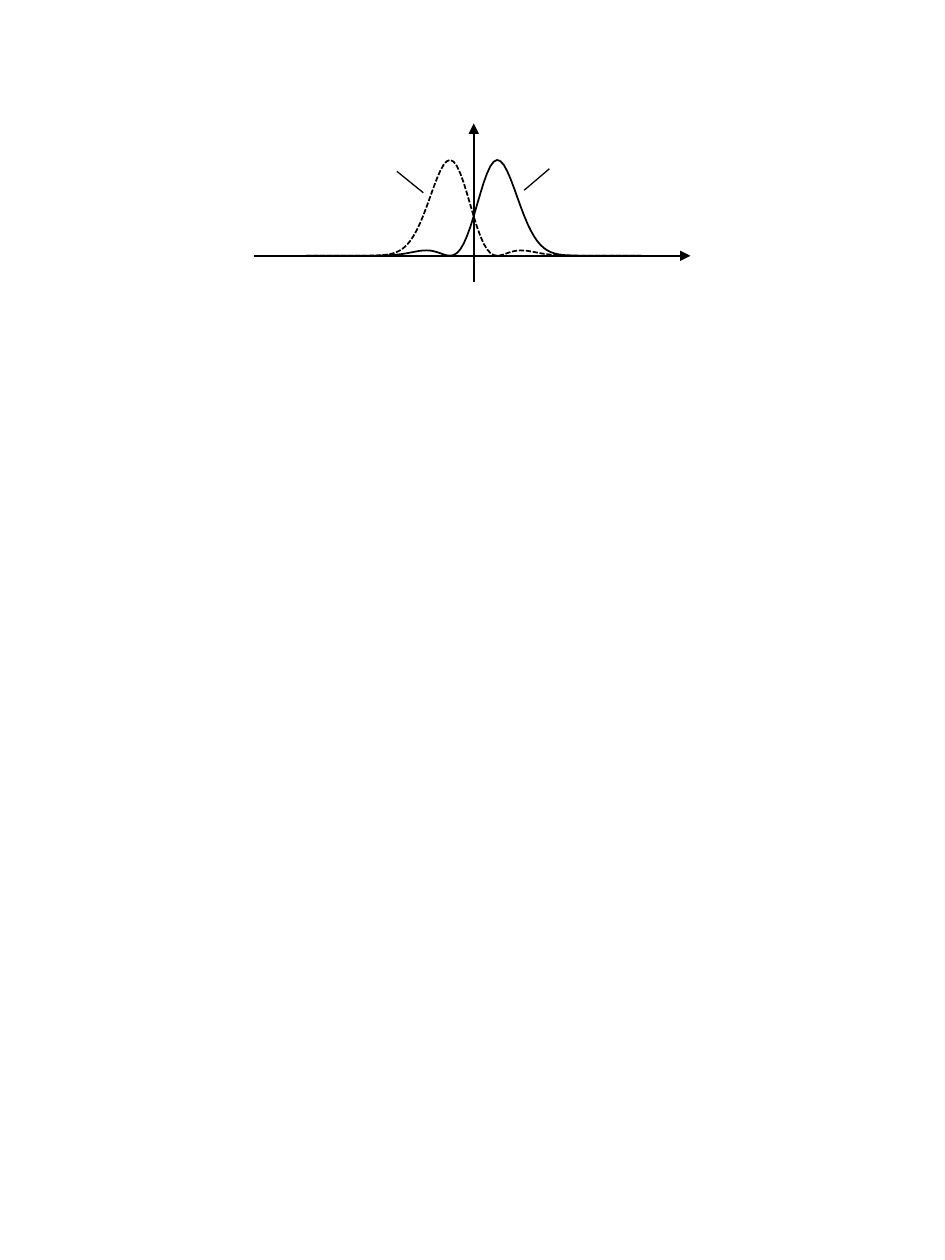
import math
from dataclasses import dataclass

import pptx
import pptx.dml.color
import pptx.enum.dml
import pptx.enum.shapes
import pptx.oxml.ns
import pptx.util
from lxml import etree

Inches = pptx.util.Inches
qn = pptx.oxml.ns.qn


@dataclass(frozen=True)
class Theme:
    ink: pptx.dml.color.RGBColor = pptx.dml.color.RGBColor(0, 0, 0)
    main_width: float = 1
    leader_width: float = 0.75


@dataclass(frozen=True)
class Segment:
    start: tuple[float, float]
    end: tuple[float, float]
    width: float
    arrow: bool = False


@dataclass(frozen=True)
class Curve:
    sign: int
    dashed: bool = False


THEME = Theme()
ORIGIN_X, BASE_Y = 3.76, 2.03
PEAK_HEIGHT = 0.76
HALF_SPAN = 1.33  # inches on either side of the vertical axis
HALF_RANGE = 5  # the same distance in units of u
STEPS = 100

SEGMENTS = [
    # Axes
    Segment((2.02, BASE_Y), (5.48, BASE_Y), THEME.main_width, arrow=True),
    Segment((ORIGIN_X, 2.24), (ORIGIN_X, 0.98), THEME.main_width, arrow=True),
    # Leaders to the two curves
    Segment((4.16, 1.51), (4.36, 1.34), THEME.leader_width),
    Segment((3.15, 1.36), (3.36, 1.53), THEME.leader_width),
]
CURVES = [Curve(sign=-1, dashed=True), Curve(sign=1)]


def style_line(line, width: float) -> None:
    line.color.rgb = THEME.ink
    line.width = pptx.util.Pt(width)


def draw_segment(shapes, seg: Segment) -> None:
    sp = shapes.add_connector(
        pptx.enum.shapes.MSO_CONNECTOR.STRAIGHT,
        *(Inches(v) for v in seg.start + seg.end))
    style_line(sp.line, seg.width)
    if seg.arrow:
        etree.SubElement(sp.line._get_or_add_ln(), qn("a:tailEnd"), type="triangle")
    etree.SubElement(sp._element.spPr, qn("a:effectLst"))


def density(u: float) -> float:
    """Squared sum of the two lowest oscillator states, with a peak of 1."""
    return (1 + math.sqrt(2) * u) ** 2 * math.exp(0.5 - u * u) / 4


def draw_curve(shapes, curve: Curve) -> None:
    points = []
    for i in range(STEPS + 1):
        t = 2 * i / STEPS - 1
        height = PEAK_HEIGHT * density(curve.sign * HALF_RANGE * t)
        points.append((Inches(ORIGIN_X + HALF_SPAN * t), Inches(BASE_Y - height)))
    builder = shapes.build_freeform(*points[0])
    builder.add_line_segments(points[1:], close=False)
    sp = builder.convert_to_shape()
    sp.shadow.inherit = False
    sp.fill.background()
    style_line(sp.line, THEME.main_width)
    if curve.dashed:
        sp.line.dash_style = pptx.enum.dml.MSO_LINE.SQUARE_DOT


prs = pptx.Presentation()
prs.slide_width, prs.slide_height = Inches(7.5), Inches(10)
slide = prs.slides.add_slide(prs.slide_layouts[6])

for seg in SEGMENTS:
    draw_segment(slide.shapes, seg)
for curve in CURVES:
    draw_curve(slide.shapes, curve)

prs.save("out.pptx")
